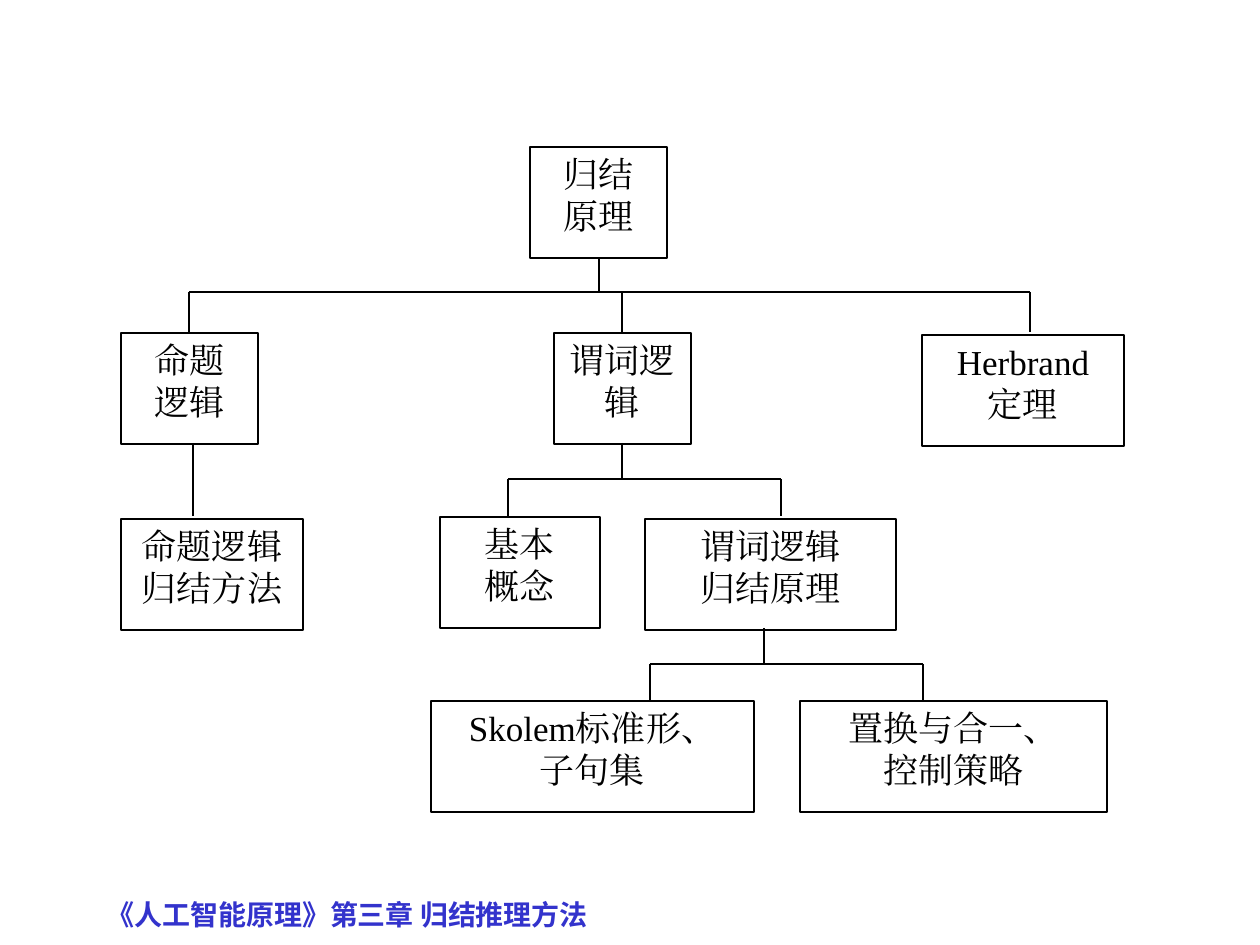
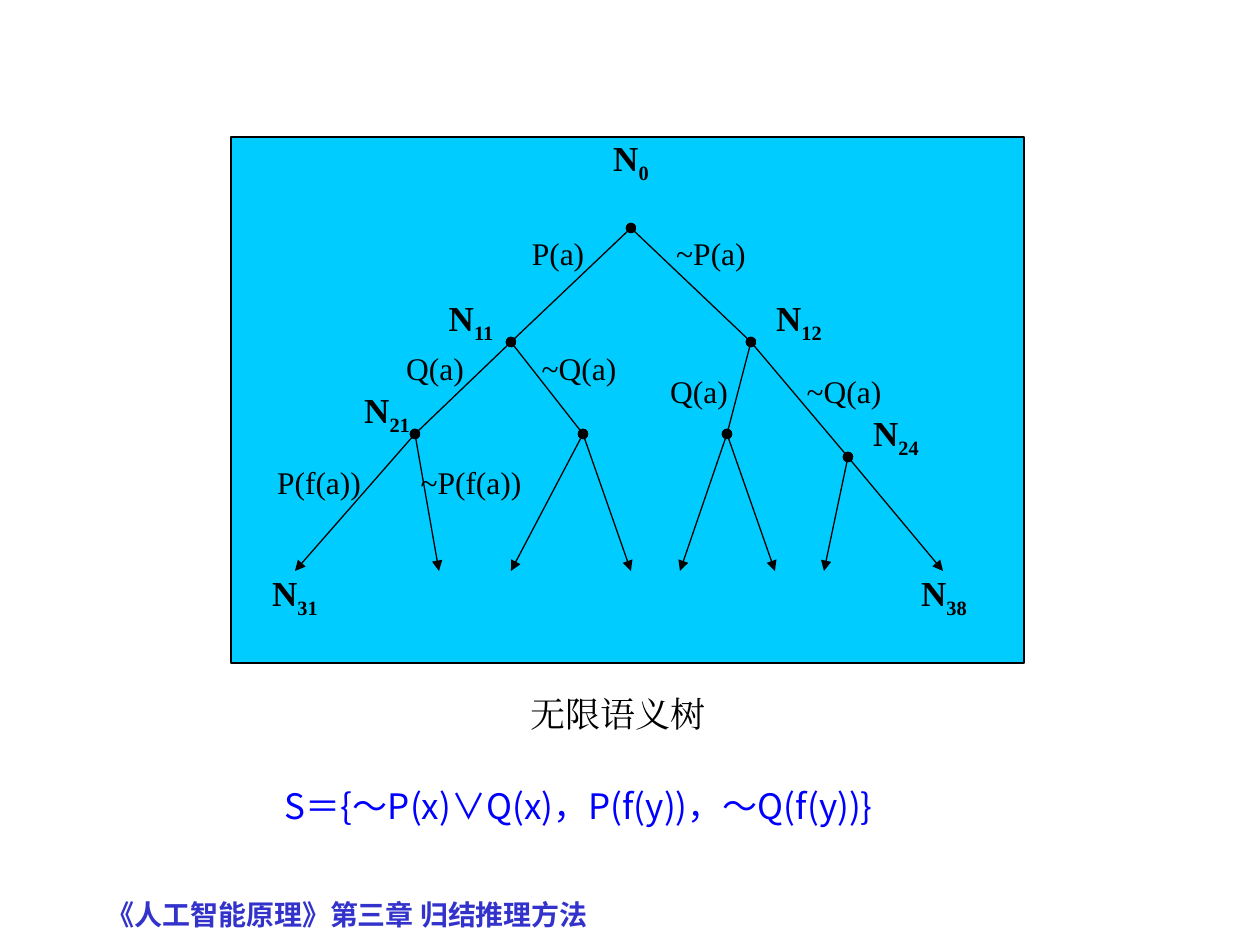
import pptx
import pptx.util
import pptx.dml.color
import pptx.enum.shapes
import pptx.enum.text
import lxml.etree

PX = 914400 // 126
A = "{http://schemas.openxmlformats.org/drawingml/2006/main}"
ALIGN = pptx.enum.text.PP_ALIGN
SHAPE = pptx.enum.shapes.MSO_SHAPE
BLACK, WHITE, CYAN, BLUE, INDIGO = "000000", "FFFFFF", "00CCFF", "0000FF", "3333CC"
SERIF = "Times New Roman"
LINE = pptx.util.Pt(0.75)

rgb = pptx.dml.color.RGBColor.from_string


def write(sp, lines, size=20, color=BLACK, font=SERIF, bold=False,
          align=ALIGN.CENTER, spacing=None, inset=12):
    """Fill a shape with paragraphs; "N_12" sets 12 as a subscript."""
    tf = sp.text_frame
    tf.word_wrap = True
    tf.vertical_anchor = pptx.enum.text.MSO_ANCHOR.TOP
    tf.margin_left = tf.margin_right = inset * PX
    tf.margin_top = tf.margin_bottom = 6 * PX
    for i, line in enumerate(lines):
        p = tf.paragraphs[0] if i == 0 else tf.add_paragraph()
        p.alignment = align
        if spacing:
            p.line_spacing = pptx.util.Pt(spacing)
        p.font.size = pptx.util.Pt(size)
        p.font.name = font
        p.font.bold = bold
        p.font.color.rgb = rgb(color)
        for part, text in enumerate(line.split("_")):
            r = p.add_run()
            r.text = text
            r.font.name = font
            rPr = r._r.get_or_add_rPr()
            lxml.etree.SubElement(rPr, A + "ea").set("typeface", font)
            if part:
                rPr.set("baseline", "-25000")


def connect(s, start, end, head=None, tail=None):
    """Draw a thin black line, with optional end marks."""
    c = s.shapes.add_connector(pptx.enum.shapes.MSO_CONNECTOR.STRAIGHT,
                               *[v * PX for v in (*start, *end)])
    c.line.color.rgb = rgb(BLACK)
    c.line.width = LINE
    spPr = c._element.spPr
    for tag, kind in (("headEnd", head), ("tailEnd", tail)):
        if kind:
            lxml.etree.SubElement(spPr.find(A + "ln"), A + tag).set("type", kind)
    lxml.etree.SubElement(spPr, A + "effectLst")


prs = pptx.Presentation()
prs.slide_width = 1260 * PX
prs.slide_height = 945 * PX
overview, semantic = [prs.slides.add_slide(prs.slide_layouts[6]) for _ in range(2)]

# Shared footer
for s in (overview, semantic):
    sp = s.shapes.add_textbox(*[v * PX for v in (95, 892, 735, 52)])
    write(sp, ["《人工智能原理》第三章 归结推理方法"], 16, INDIGO,
          "Noto Sans CJK JP", True, ALIGN.LEFT)

# Slide 1: chapter structure, boxes as left, top, width, lines
s = overview
BOX_H = 111
boxes = [
    (530, 147, 137, ["归结", "原理"]),
    (121, 333, 137, ["命题", "逻辑"]),
    (554, 333, 137, ["谓词逻", "辑"]),
    (922, 335, 202, ["Herbrand", "定理"]),
    (121, 519, 182, ["命题逻辑", "归结方法"]),
    (440, 517, 160, ["基本", "概念"]),
    (645, 519, 251, ["谓词逻辑", "归结原理"]),
    (431, 701, 323, ["Skolem标准形、", "子句集"]),
    (800, 701, 307, ["置换与合一、", "控制策略"]),
]
for x, y, w, lines in boxes:
    sp = s.shapes.add_shape(SHAPE.RECTANGLE, x * PX, y * PX, w * PX, BOX_H * PX)
    sp.shadow.inherit = False
    sp.fill.solid()
    sp.fill.fore_color.rgb = rgb(WHITE)
    sp.line.color.rgb = rgb(BLACK)
    sp.line.width = LINE
    write(sp, lines, spacing=24, inset=0)

# Branches: stem x, stem top, bar y, foot y, drop positions
branches = [
    (599, 258, 292, 332, (189, 622, 1030)),
    (622, 443, 479, 516, (508, 781)),
    (764, 628, 664, 701, (650, 923)),
]
for stem, top, bar, foot, drops in branches:
    connect(s, (stem, top), (stem, bar))
    connect(s, (drops[0], bar), (drops[-1], bar))
    for x in drops:
        connect(s, (x, bar), (x, foot))
connect(s, (193, 443), (193, 516))

# Slide 2: semantic tree panel
s = semantic
sp = s.shapes.add_shape(SHAPE.RECTANGLE, *[v * PX for v in (231, 137, 793, 526)])
sp.shadow.inherit = False
sp.fill.solid()
sp.fill.fore_color.rgb = rgb(CYAN)
sp.line.color.rgb = rgb(BLACK)
sp.line.width = LINE

# Edges from each node to its two children; leaves end in arrowheads
LEAF_Y = 571
children = {
    (631, 228): [(511, 342), (751, 342)],
    (511, 342): [(415, 434), (583, 434)],
    (751, 342): [(727, 434), (848, 457)],
    (415, 434): [(295, LEAF_Y), (439, LEAF_Y)],
    (583, 434): [(511, LEAF_Y), (631, LEAF_Y)],
    (727, 434): [(680, LEAF_Y), (775, LEAF_Y)],
    (848, 457): [(824, LEAF_Y), (943, LEAF_Y)],
}
for node, ends in children.items():
    for end in ends:
        connect(s, node, end, "oval", "oval" if end in children else "triangle")

# Node names
for x, y, name in [(583, 136, "N_0"), (423, 296, "N_11"), (751, 296, "N_12"),
                   (339, 388, "N_21"), (848, 411, "N_24"),
                   (247, 571, "N_31"), (896, 571, "N_38")]:
    sp = s.shapes.add_textbox(x * PX, y * PX, 96 * PX, 68 * PX)
    write(sp, [name], bold=True, spacing=24)

# Edge literals, centred on x
for x, y, literal in [(558, 228, "P(a)"), (711, 228, "~P(a)"),
                      (435, 343, "Q(a)"), (579, 343, "~Q(a)"),
                      (699, 366, "Q(a)"), (844, 366, "~Q(a)"),
                      (319, 457, "P(f(a))"), (471, 457, "~P(f(a))")]:
    sp = s.shapes.add_textbox((x - 72) * PX, y * PX, 144 * PX, 68 * PX)
    write(sp, [literal], 18, spacing=21.6)

# Caption and clause set
sp = s.shapes.add_textbox(*[v * PX for v in (342, 686, 553, 68)])
write(sp, ["无限语义树"], spacing=24)
sp = s.shapes.add_textbox(*[v * PX for v in (273, 777, 640, 100)])
write(sp, ["S＝{～P(x)∨Q(x)，P(f(y))，～Q(f(y))}"], 20, BLUE,
      "Noto Sans CJK SC", align=ALIGN.LEFT, spacing=25)

prs.save("out.pptx")
